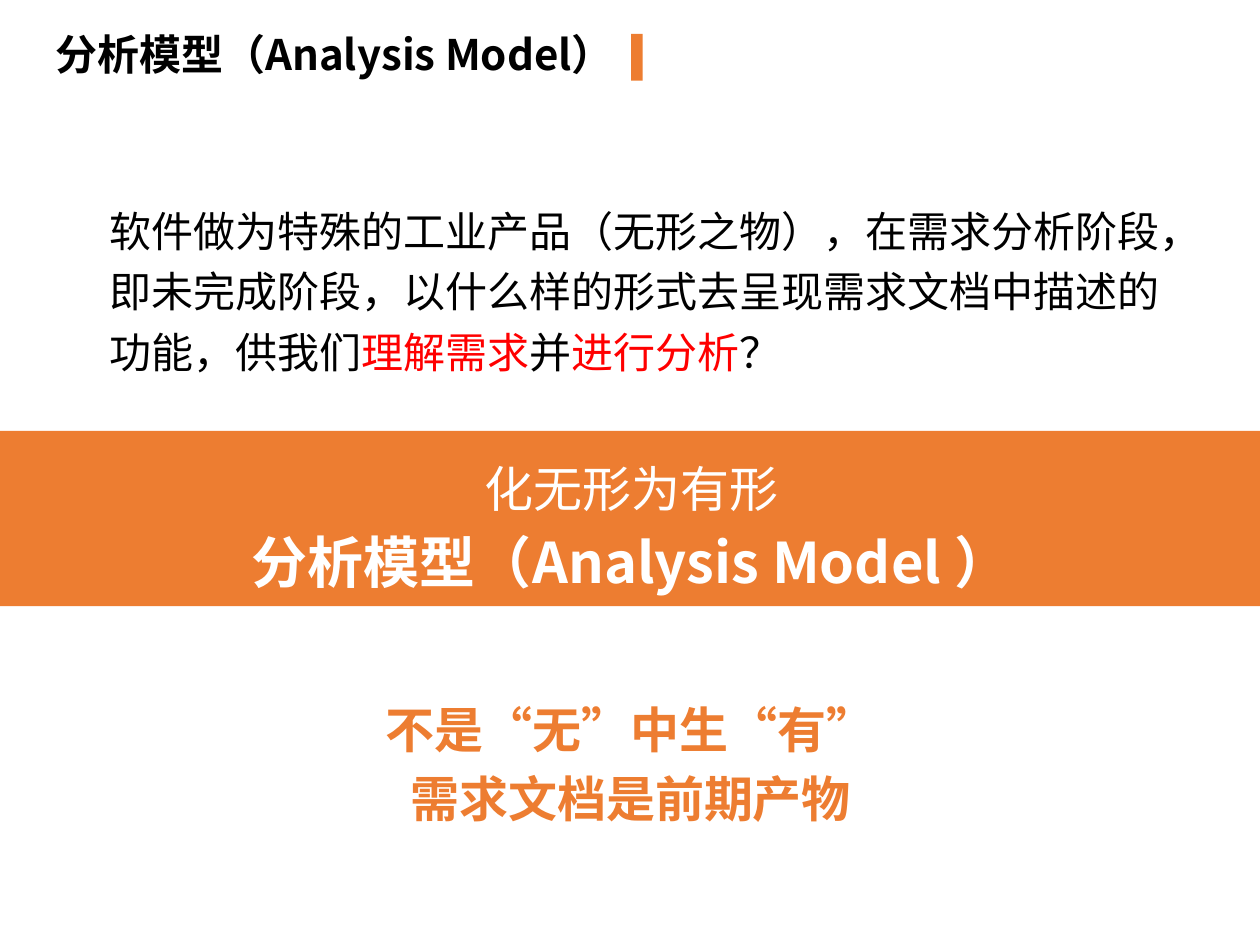
from lxml.etree import SubElement
from pptx import Presentation
from pptx.dml.color import RGBColor
from pptx.enum.shapes import MSO_SHAPE as Shape
from pptx.enum.text import PP_ALIGN as Align
from pptx.oxml.ns import qn
from pptx.util import Inches, Pt

ORANGE = RGBColor(0xED, 0x7D, 0x31)
BLACK = RGBColor(0, 0, 0)
RED = RGBColor(0xFF, 0, 0)
WHITE = RGBColor(0xFF, 0xFF, 0xFF)
FONT = "Noto Sans CJK SC"

deck = Presentation()
deck.slide_width, deck.slide_height = Inches(10), Inches(7.5)
slide = deck.slides.add_slide(deck.slide_layouts[6])


def add_bar(*area):
    bar = slide.shapes.add_shape(Shape.RECTANGLE, *map(Inches, area))
    bar.shadow.inherit = False
    bar.fill.solid()
    bar.fill.fore_color.rgb = ORANGE
    bar.line.fill.background()


def add_text(area, lines, align=Align.LEFT, wrap=True, space=1.0):
    """Each line is a list of runs: text, size, colour, bold."""
    frame = slide.shapes.add_textbox(*map(Inches, area)).text_frame
    frame.word_wrap = wrap
    for i, line in enumerate(lines):
        para = frame.add_paragraph() if i else frame.paragraphs[0]
        para.alignment = align
        para.line_spacing = space
        if i:
            para.space_before = Pt(6)
        for text, size, color, bold in line:
            run = para.add_run()
            run.text = text
            font = run.font
            font.size, font.bold, font.name = Pt(size), bold, FONT
            font.color.rgb = color
            SubElement(font._element, qn("a:ea")).set("typeface", FONT)


add_bar(0, 3.42, 10, 1.39)
add_text((0.34, 0.18, 5.18, 0.5),
         [[("分析模型（Analysis Model）", 24, BLACK, True)]])
add_bar(5.01, 0.27, 0.09, 0.37)

add_text((0.77, 1.5, 8.62, 1.49), [[
    ("软件做为特殊的工业产品（无形之物），在需求分析阶段，"
     "即未完成阶段，以什么样的形式去呈现需求文档中描述的功能，供我们",
     24, BLACK, False),
    ("理解需求", 24, RED, False),
    ("并", 24, BLACK, False),
    ("进行分析", 24, RED, False),
    ("？", 24, BLACK, False),
]], space=1.2)

add_text((1.63, 3.59, 6.76, 1.22), [
    [("化无形为有形", 28, WHITE, False)],
    [("分析模型（Analysis Model ）", 32, WHITE, True)],
], Align.CENTER)

add_text((2.94, 5.5, 4.13, 1.14), [
    [("不是“无”中生“有”", 28, ORANGE, True)],
    [("需求文档是前期产物", 28, ORANGE, True)],
], Align.CENTER, wrap=False)

deck.save("out.pptx")
